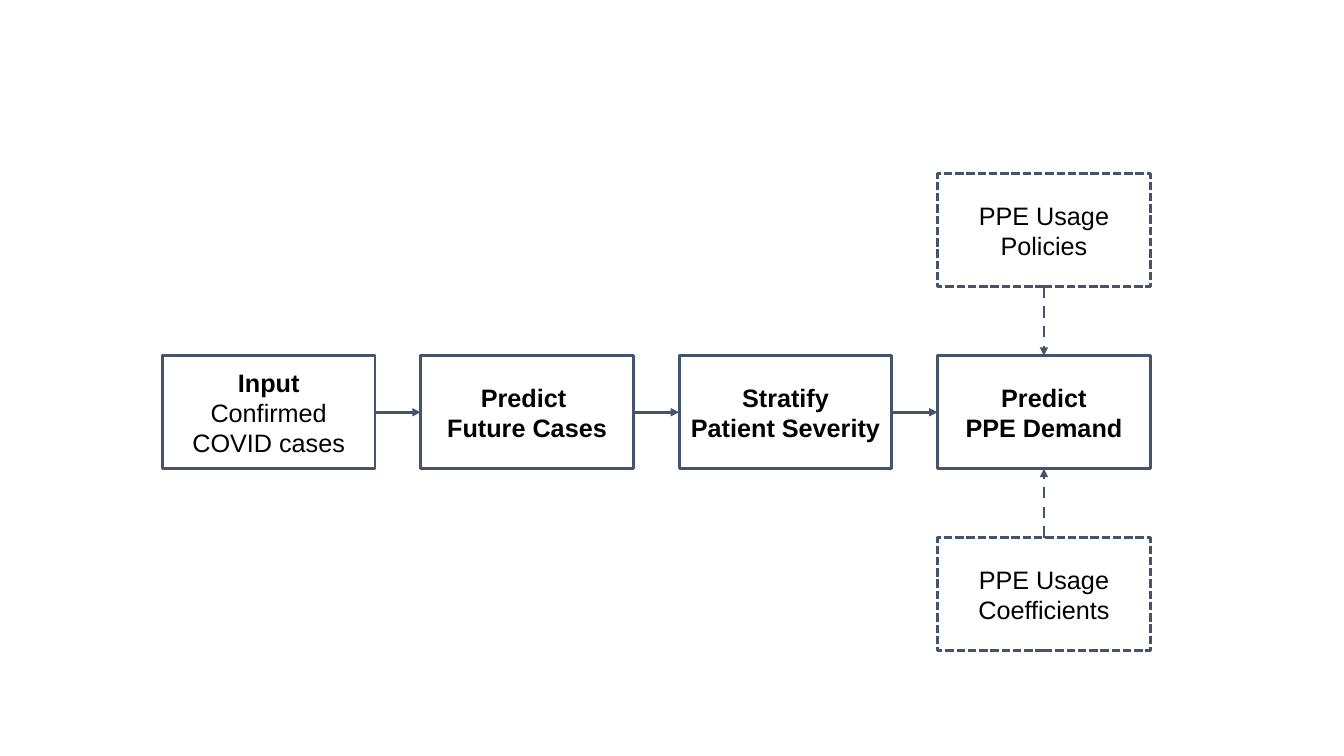
from pptx import Presentation
from pptx.util import Inches, Pt
from pptx.dml.color import RGBColor
from pptx.enum.dml import MSO_LINE
from pptx.enum.shapes import MSO_CONNECTOR, MSO_SHAPE
from pptx.enum.text import MSO_ANCHOR, PP_ALIGN
from lxml.etree import SubElement
from pptx.oxml.ns import qn

COLORS = {"line": "44546A", "text": "000000"}
WIDTH, HEIGHT = 2.11, 1.12
LEFT, STEP = 1.61, 2.563
MID, RISE = 3.53, 1.805

deck = Presentation()
deck.slide_width, deck.slide_height = Inches(13.33), Inches(7.5)
slide = deck.slides.add_slide(deck.slide_layouts[6])


def add_box(left, top, paras, dash=None):
    """Each paragraph is (lines, bold); its lines are split by line breaks."""
    box = slide.shapes.add_shape(MSO_SHAPE.RECTANGLE, Inches(left), Inches(top),
                                 Inches(WIDTH), Inches(HEIGHT))
    box.shadow.inherit = False
    box.fill.background()
    box.line.color.rgb = RGBColor.from_string(COLORS["line"])
    box.line.width = Pt(2)
    box.line.dash_style = dash
    frame = box.text_frame
    frame.word_wrap = True
    frame.vertical_anchor = MSO_ANCHOR.MIDDLE
    for i, (lines, bold) in enumerate(paras):
        para = frame.add_paragraph() if i else frame.paragraphs[0]
        para.alignment = PP_ALIGN.CENTER
        for j, line in enumerate(lines):
            if j:
                para.add_line_break()
            run = para.add_run()
            run.text = line
            run.font.name = "Arial"
            run.font.size = Pt(18)
            run.font.bold = bold
            run.font.color.rgb = RGBColor.from_string(COLORS["text"])


def add_arrow(x1, y1, x2, y2, dash=None):
    arrow = slide.shapes.add_connector(MSO_CONNECTOR.STRAIGHT, Inches(x1),
                                       Inches(y1), Inches(x2), Inches(y2))
    arrow.line.color.rgb = RGBColor.from_string(COLORS["line"])
    arrow.line.width = Pt(2)
    arrow.line.dash_style = dash
    SubElement(arrow.line._get_or_add_ln(), qn("a:tailEnd"), type="triangle")
    SubElement(arrow._element.spPr, qn("a:effectLst"))


# Main row of steps, joined by arrows
steps = [
    [(["Input"], True), (["Confirmed COVID cases"], False)],
    [(["Predict ", "Future Cases"], True)],
    [(["Stratify", "Patient Severity"], True)],
    [(["Predict"], True), (["PPE Demand"], True)],
]
for n, paras in enumerate(steps):
    left = LEFT + n * STEP
    add_box(left, MID, paras)
    if n:
        add_arrow(left - STEP + WIDTH, MID + HEIGHT / 2, left, MID + HEIGHT / 2)

# Dashed inputs below and above the last step
last = LEFT + 3 * STEP
center = last + WIDTH / 2
add_box(last, MID + RISE, [(["PPE Usage Coefficients"], False)], MSO_LINE.SQUARE_DOT)
add_box(last, MID - RISE, [(["PPE Usage Policies"], False)], MSO_LINE.SQUARE_DOT)
add_arrow(center, MID - RISE + HEIGHT, center, MID, MSO_LINE.DASH)
add_arrow(center, MID + RISE, center, MID + HEIGHT, MSO_LINE.DASH)

deck.save("out.pptx")
